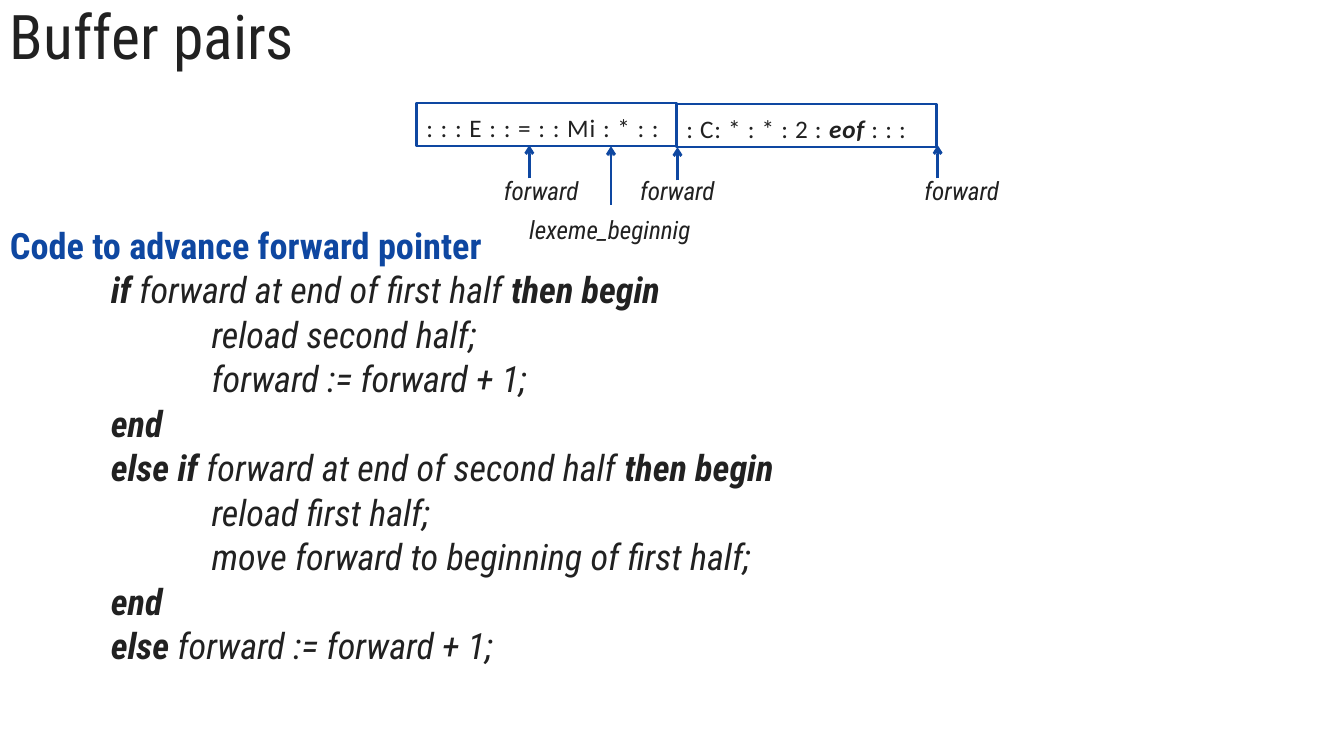
from dataclasses import dataclass
from typing import NamedTuple

from lxml.etree import SubElement
from pptx import Presentation
from pptx.dml.color import RGBColor as Rgb
from pptx.enum.shapes import MSO_CONNECTOR as Connector, MSO_SHAPE as Preset
from pptx.enum.text import MSO_ANCHOR as Anchor, PP_ALIGN as Align
from pptx.oxml.ns import qn
from pptx.slide import Slide
from pptx.text.text import TextFrame
from pptx.util import Inches, Pt


@dataclass(frozen=True)
class Theme:
    ink: Rgb = Rgb(0x21, 0x21, 0x21)
    blue: Rgb = Rgb(0x0E, 0x47, 0xA1)
    white: Rgb = Rgb(0xFF, 0xFF, 0xFF)
    text_font: str = "Roboto Condensed"
    buffer_font: str = "Calibri"
    title_size: float = 44
    code_size: float = 25.9
    label_size: float = 18


THEME = Theme()


class Words(NamedTuple):
    text: str
    bold: bool = False
    italic: bool = False


class Style(NamedTuple):
    size: float
    color: Rgb = THEME.ink
    font: str = THEME.text_font
    line_spacing: float = 1.15
    before: float = 0
    after: float = 0
    indent: float = 0
    tracking: int = 0  # hundredths of a point


class Box(NamedTuple):
    left: float
    top: float
    width: float
    height: float


class BufferHalf(NamedTuple):
    box: Box
    words: list[Words]
    tracking: int


class Pointer(NamedTuple):
    name: str
    label: Box
    indent: float
    x: float
    tail_y: float
    tip_y: float


class CodeLine(NamedTuple):
    level: int
    words: list[Words]


def keyword(text: str) -> Words:
    return Words(text, bold=True, italic=True)


def plain(text: str) -> Words:
    return Words(text, italic=True)


def write(frame: TextFrame, words: list[Words], style: Style, first: bool = True) -> None:
    """Write one paragraph into the frame, run by run."""
    paragraph = frame.paragraphs[0] if first else frame.add_paragraph()
    paragraph.alignment = Align.LEFT
    paragraph.line_spacing = style.line_spacing
    paragraph.space_before = Pt(0 if first else style.before)
    paragraph.space_after = Pt(style.after)
    properties = paragraph._p.get_or_add_pPr()
    properties.set("marL", str(Inches(style.indent)))
    properties.set("indent", "0")
    for piece in words:
        run = paragraph.add_run()
        run.text = piece.text
        run.font.name = style.font
        run.font.size = Pt(style.size)
        run.font.color.rgb = style.color
        run.font.bold = piece.bold
        run.font.italic = piece.italic
        if style.tracking:
            run.font._element.set("spc", str(style.tracking))


def add_text(slide: Slide, box: Box, anchor: Anchor = Anchor.TOP) -> TextFrame:
    frame = slide.shapes.add_textbox(*map(Inches, box)).text_frame
    frame.word_wrap = True
    frame.vertical_anchor = anchor
    return frame


def add_panel(slide: Slide, box: Box, border: Rgb, weight: float,
              words: list[Words], style: Style) -> None:
    panel = slide.shapes.add_shape(Preset.RECTANGLE, *map(Inches, box))
    panel.shadow.inherit = False
    panel.fill.solid()
    panel.fill.fore_color.rgb = THEME.white
    panel.line.color.rgb = border
    panel.line.width = Pt(weight)
    panel.text_frame.word_wrap = True
    panel.text_frame.vertical_anchor = Anchor.TOP
    write(panel.text_frame, words, style)


def add_half(slide: Slide, half: BufferHalf) -> None:
    style = Style(THEME.label_size, font=THEME.buffer_font, after=10, tracking=half.tracking)
    add_panel(slide, half.box, THEME.blue, 1.75, half.words, style)


def add_pointer(slide: Slide, pointer: Pointer) -> None:
    style = Style(THEME.label_size, after=10, indent=pointer.indent)
    add_panel(slide, pointer.label, THEME.white, 0.75, [plain(pointer.name)], style)
    x = Inches(pointer.x)
    arrow = slide.shapes.add_connector(
        Connector.STRAIGHT, x, Inches(pointer.tail_y), x, Inches(pointer.tip_y))
    arrow.line.color.rgb = THEME.blue
    arrow.line.width = Pt(2)
    SubElement(arrow.line._get_or_add_ln(), qn("a:tailEnd"), type="arrow")
    SubElement(arrow._element.spPr, qn("a:effectLst"))


FIRST_HALF = BufferHalf(Box(4.13, 1.02, 2.58, 0.43),
                        [Words(": : : E : : = : : Mi : * : :")], 70)
SECOND_HALF = BufferHalf(Box(6.71, 1.03, 2.58, 0.43),
                         [Words(": C: * : * : 2 : "), keyword("eof"), Words(" : : :")], 50)

POINTERS = [
    Pointer("forward", Box(5.85, 1.64, 1.5, 0.45), 0.4, 6.72, 1.79, 1.46),
    Pointer("lexeme_beginnig", Box(4.81, 2.03, 2.58, 0.47), 0.34, 6.06, 2.03, 1.45),
    Pointer("forward", Box(8.67, 1.65, 1.52, 0.43), 0.4, 9.3, 1.77, 1.44),
    Pointer("forward", Box(4.5, 1.65, 1.52, 0.43), 0.4, 5.25, 1.77, 1.44),
]

CODE = [
    CodeLine(1, [keyword("if"), plain(" forward at end of first half "), keyword("then begin")]),
    CodeLine(2, [plain("reload second half;")]),
    CodeLine(2, [plain("forward := forward + 1;")]),
    CodeLine(1, [keyword("end")]),
    CodeLine(1, [keyword("else if "), plain("forward at end of second half"),
                 keyword(" then begin")]),
    CodeLine(2, [plain("reload first half;")]),
    CodeLine(2, [plain("move forward to beginning of first half;")]),
    CodeLine(1, [keyword("end")]),
    CodeLine(1, [keyword("else "), plain("forward := forward + 1;")]),
]


def main() -> None:
    deck = Presentation()
    deck.slide_width, deck.slide_height = Inches(13.33), Inches(7.5)
    slide = deck.slides.add_slide(deck.slide_layouts[6])

    # Title
    title = add_text(slide, Box(0, 0, 13.33, 0.78), Anchor.MIDDLE)
    write(title, [Words("Buffer pairs")], Style(THEME.title_size, line_spacing=0.9))

    # Heading and pseudocode
    code = add_text(slide, Box(0, 2.28, 13.05, 4.78))
    code_style = Style(THEME.code_size, line_spacing=0.7, before=10)
    write(code, [Words("Code to advance forward pointer", bold=True)],
          code_style._replace(color=THEME.blue))
    for line in CODE:
        write(code, line.words, code_style._replace(indent=line.level), first=False)

    # Buffer halves with their pointers
    add_half(slide, FIRST_HALF)
    for pointer in POINTERS:
        add_pointer(slide, pointer)
    add_half(slide, SECOND_HALF)

    deck.save("out.pptx")


if __name__ == "__main__":
    main()
